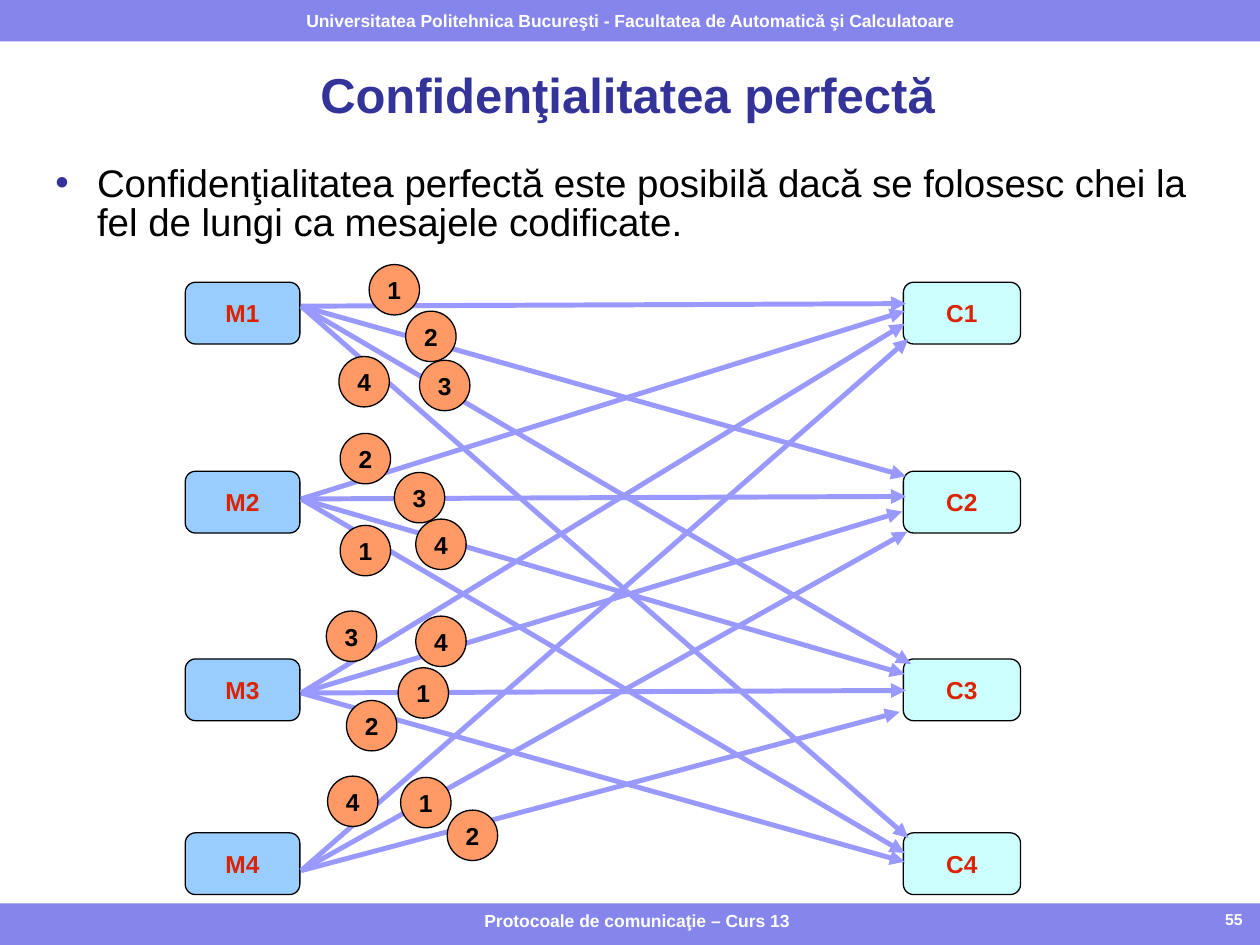
from lxml.etree import SubElement
from pptx import Presentation
from pptx.dml.color import RGBColor
from pptx.enum.shapes import MSO_CONNECTOR, MSO_SHAPE
from pptx.enum.text import MSO_ANCHOR, MSO_AUTO_SIZE, PP_ALIGN
from pptx.oxml.ns import qn
from pptx.util import Inches, Pt

rgb = RGBColor.from_string


def add_text(sp, text, size, color, bold=True, align=PP_ALIGN.CENTER, anchor=MSO_ANCHOR.MIDDLE, wrap=True):
    tf = sp.text_frame
    tf.auto_size = MSO_AUTO_SIZE.NONE
    tf.word_wrap = wrap
    tf.vertical_anchor = anchor
    p = tf.paragraphs[0]
    p.alignment = align
    r = p.add_run()
    r.text = text
    r.font.name = "Arial"
    r.font.size = Pt(size)
    r.font.bold = bold
    r.font.color.rgb = rgb(color)
    return p


def add_box(kind, x, y, w, h, fill, line=None):
    sp = s.shapes.add_shape(kind, Inches(x), Inches(y), Inches(w), Inches(h))
    sp.shadow.inherit = False
    sp.fill.solid()
    sp.fill.fore_color.rgb = rgb(fill)
    if line:
        sp.line.color.rgb = rgb(line)
        sp.line.width = Pt(0.75)
    else:
        sp.line.fill.background()
    return sp


prs = Presentation()
prs.slide_width = Inches(10)
prs.slide_height = Inches(7.5)
s = prs.slides.add_slide(prs.slide_layouts[1])

add_box(MSO_SHAPE.RECTANGLE, 0, 7.17, 10, 0.33, "8585EB")
header = add_box(MSO_SHAPE.RECTANGLE, 0, 0, 10, 0.33, "8585EB")
add_text(header, "Universitatea Politehnica Bucureşti - Facultatea de Automatică şi Calculatoare",
         10, "FFFFFF", wrap=False)

title, body = s.shapes.title, s.placeholders[1]
for sp, x, y, w, h in [(title, 0.42, 0.5, 9.12, 0.49), (body, 0.44, 1.32, 9.12, 5.53)]:
    sp.left, sp.top, sp.width, sp.height = Inches(x), Inches(y), Inches(w), Inches(h)
    tf = sp.text_frame
    tf.margin_left = tf.margin_top = tf.margin_right = tf.margin_bottom = 0

add_text(title, "Confidenţialitatea perfectă", 28, "333399")
p = add_text(body, "Confidenţialitatea perfectă este posibilă dacă se folosesc chei la fel de lungi "
             "ca mesajele codificate.", 22, "000000", False, PP_ALIGN.LEFT, MSO_ANCHOR.TOP)
p.line_spacing = 0.85
p.space_before = p.space_after = Pt(5.8)
pPr = p._p.get_or_add_pPr()
pPr.set("marL", str(Inches(0.33)))
pPr.set("indent", str(-Inches(0.33)))
SubElement(SubElement(pPr, qn("a:buClr")), qn("a:srgbClr"), val="333399")
SubElement(pPr, qn("a:buFont"), typeface="Arial")
SubElement(pPr, qn("a:buChar"), char="•")

for i, y in enumerate([2.24, 3.74, 5.23, 6.61], start=1):
    for letter, x, w, fill in [("M", 1.47, 0.91, "99CCFF"), ("C", 7.17, 0.93, "CCFFFF")]:
        sp = add_box(MSO_SHAPE.ROUNDED_RECTANGLE, x, y, w, 0.49, fill, "000000")
        add_text(sp, f"{letter}{i}", 14, "DC2300", wrap=False)

arrows = [
    (2.43, [(7.19, 2.41), (7.19, 3.78), (7.23, 5.27), (7.21, 6.65)]),
    (3.96, [(7.18, 2.47), (7.19, 3.94), (7.18, 5.35), (7.18, 6.77)]),
    (5.5, [(7.18, 2.57), (7.16, 4.06), (7.19, 5.48), (7.18, 6.84)]),
    (6.91, [(7.21, 2.69), (7.2, 4.22), (7.14, 5.65)]),
]
for y, ends in arrows:
    for end_x, end_y in ends:
        cxn = s.shapes.add_connector(MSO_CONNECTOR.STRAIGHT, Inches(2.39), Inches(y),
                                     Inches(end_x), Inches(end_y))
        cxn.line.color.rgb = rgb("9999FF")
        cxn.line.width = Pt(2.83)
        SubElement(cxn.line._get_or_add_ln(), qn("a:tailEnd"), type="triangle")
        SubElement(cxn._element.spPr, qn("a:effectLst"))

keys = {
    "1": [(2.93, 2.1), (2.7, 4.17), (3.16, 5.3), (3.18, 6.17)],
    "2": [(3.22, 2.47), (2.7, 3.44), (2.75, 5.56), (3.55, 6.43)],
    "3": [(3.33, 2.86), (3.13, 3.75), (2.59, 4.85)],
    "4": [(2.69, 2.83), (3.3, 4.12), (3.3, 4.89), (2.6, 6.16)],
}
for key, spots in keys.items():
    for x, y in spots:
        sp = add_box(MSO_SHAPE.OVAL, x, y, 0.4, 0.4, "FF9966", "000000")
        add_text(sp, key, 14, "000000", wrap=False)

for text, x, w, size, align in [("Protocoale de comunicaţie – Curs 13", 2.58, 4.95, 10, PP_ALIGN.CENTER),
                                ("55", 7.67, 2.29, 9, PP_ALIGN.RIGHT)]:
    sp = s.shapes.add_textbox(Inches(x), Inches(7.17), Inches(w), Inches(0.29))
    add_text(sp, text, size, "FFFFFF", align=align, anchor=MSO_ANCHOR.TOP)

prs.save("out.pptx")
